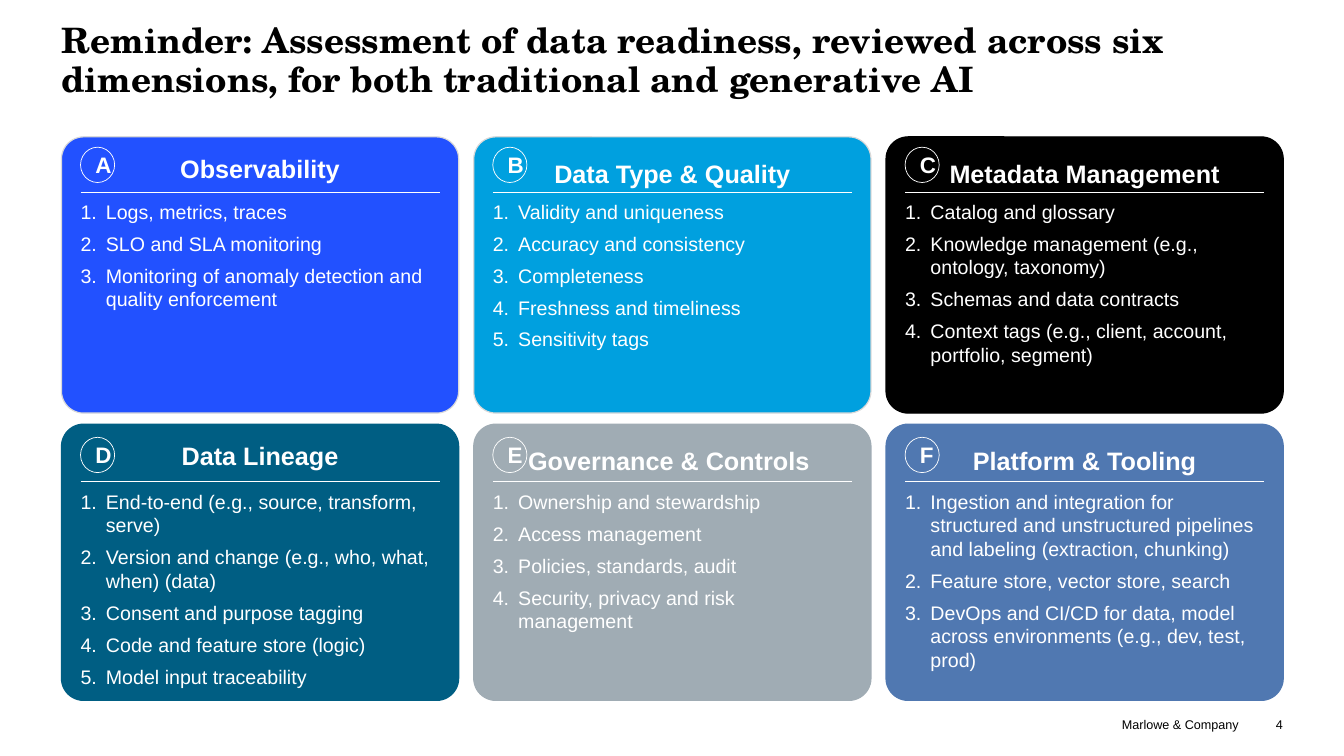
from lxml import etree
from pptx import Presentation
from pptx.dml.color import RGBColor
from pptx.enum.shapes import MSO_CONNECTOR, MSO_SHAPE
from pptx.enum.text import MSO_ANCHOR, MSO_AUTO_SIZE, PP_ALIGN
from pptx.oxml.ns import qn
from pptx.util import Cm, Pt

LINE = MSO_CONNECTOR.STRAIGHT
ROUND, OVAL = MSO_SHAPE.ROUNDED_RECTANGLE, MSO_SHAPE.OVAL
TOP, MIDDLE, BOTTOM = MSO_ANCHOR.TOP, MSO_ANCHOR.MIDDLE, MSO_ANCHOR.BOTTOM
LEFT, CENTER, RIGHT = PP_ALIGN.LEFT, PP_ALIGN.CENTER, PP_ALIGN.RIGHT
FIXED = MSO_AUTO_SIZE.NONE

WHITE, BLACK, GREY = "FFFFFF", "000000", "D9D9D9"
EDGE, STEP, WIDTH, HEIGHT, PAD = 1.55, 10.39, 10.01, 6.96, 0.48
INNER = WIDTH - 2 * PAD
ROWS = [
    {"card": 3.45, "badge": 3.71, "rule": 4.85, "list": 5.03},
    {"card": 10.69, "badge": 11.02, "rule": 12.14, "list": 12.34},
]
CARDS = [
    ("A", "Observability", "2251FF", GREY, None, [
        "Logs, metrics, traces",
        "SLO and SLA monitoring",
        "Monitoring of anomaly detection and quality enforcement"]),
    ("B", "Data Type & Quality", "00A0DF", GREY, 25, [
        "Validity and uniqueness",
        "Accuracy and consistency",
        "Completeness",
        "Freshness and timeliness",
        "Sensitivity tags"]),
    ("C", "Metadata Management", BLACK, BLACK, 25, [
        "Catalog and glossary",
        "Knowledge management (e.g., ontology, taxonomy)",
        "Schemas and data contracts",
        "Context tags (e.g., client, account, portfolio, segment)"]),
    ("D", "Data Lineage", "005E83", "005E83", None, [
        "End-to-end (e.g., source, transform, serve)",
        "Version and change (e.g., who, what, when) (data)",
        "Consent and purpose tagging",
        "Code and feature store (logic)",
        "Model input traceability"]),
    ("E", "Governance & Controls ", "A0ACB4", "A0ACB4", 25, [
        "Ownership and stewardship",
        "Access management",
        "Policies, standards, audit",
        "Security, privacy and risk management"]),
    ("F", "Platform & Tooling", "5078B1", "5078B1", 25, [
        "Ingestion and integration for structured and unstructured pipelines "
        "and labeling (extraction, chunking)",
        "Feature store, vector store, search",
        "DevOps and CI/CD for data, model across environments "
        "(e.g., dev, test, prod)"]),
]


def paint(item, color):
    """Set a hex colour on a fill, line or font."""
    if hasattr(item, "solid"):
        item.solid()
        item = item.fore_color
    elif hasattr(item, "color"):
        item = item.color
    item.rgb = RGBColor.from_string(color)


class Deck:
    """Hold the fonts and the current slide, and draw on it."""

    head, body = "TeX Gyre Schola", "Arial"

    def __init__(self, slide):
        """Keep the slide to draw on."""
        self.slide = slide

    def style(self, para, size, color, bold=False, align=LEFT, face=body):
        """Format the runs of a paragraph."""
        para.alignment = align
        for run in para.runs:
            run.font.size, run.font.bold, run.font.name = Pt(size), bold, face
            paint(run.font, color)

    def frame(self, shape, anchor=TOP, inset=(0, 0, 0, 0)):
        """Set up the text frame of a shape and return it."""
        text = shape.text_frame
        text.word_wrap, text.auto_size = True, FIXED
        text.vertical_anchor = anchor
        text.margin_left, text.margin_top, text.margin_right, text.margin_bottom = (
            Cm(side) for side in inset)
        return text

    def title(self, words, x, y, w, h):
        """Fill and place the title placeholder."""
        shape = self.slide.shapes.title
        shape.left, shape.top, shape.width, shape.height = Cm(x), Cm(y), Cm(w), Cm(h)
        text = self.frame(shape, BOTTOM)
        text.text = words
        text.paragraphs[0].line_spacing = 0.93
        self.style(text.paragraphs[0], 25, BLACK, True, face=self.head)

    def shape(self, kind, x, y, w, h, fill, line, weight):
        """Add a filled and outlined shape."""
        shape = self.slide.shapes.add_shape(kind, Cm(x), Cm(y), Cm(w), Cm(h))
        shape.shadow.inherit = False
        paint(shape.fill, fill)
        paint(shape.line, line)
        shape.line.width = Pt(weight)
        return shape

    def card(self, x, y, name, fill, line, lead):
        """Add a rounded card with its heading."""
        shape = self.shape(ROUND, x, y, WIDTH, HEIGHT, fill, line, 0.85)
        shape.adjustments[0] = 0.08
        text = self.frame(shape, TOP, (0.25, 0.25, 0.25, 0.13))
        text.text = name
        if lead:
            text.paragraphs[0].line_spacing = Pt(lead)
        self.style(text.paragraphs[0], 18, WHITE, True, CENTER)

    def badge(self, x, y, letter, fill):
        """Add a round letter badge."""
        shape = self.shape(OVAL, x, y, 0.86, 0.89, fill, WHITE, 0.5)
        text = self.frame(shape, MIDDLE, (0.25, 0.13, 0.25, 0.13))
        text.text = letter
        self.style(text.paragraphs[0], 16, WHITE, True, CENTER)

    def rule(self, x, y, w):
        """Add a thin white line."""
        line = self.slide.shapes.add_connector(LINE, Cm(x), Cm(y), Cm(x + w), Cm(y))
        paint(line.line, WHITE)
        line.line.width = Pt(1)
        etree.SubElement(line._element.spPr, qn("a:effectLst"))

    def label(self, words, x, y, w, h, align):
        """Add a small footer text."""
        box = self.slide.shapes.add_textbox(Cm(x), Cm(y), Cm(w), Cm(h))
        text = self.frame(box, BOTTOM)
        text.text = words
        self.style(text.paragraphs[0], 9, BLACK, align=align)

    def list(self, items, x, y, w, h):
        """Add a numbered list."""
        box = self.slide.shapes.add_textbox(Cm(x), Cm(y), Cm(w), Cm(h))
        text = self.frame(box)
        text.text = "\n".join(items)
        for spot, para in enumerate(text.paragraphs):
            props = para._p.get_or_add_pPr()
            props.set("marL", str(Cm(0.64)))
            props.set("indent", str(-Cm(0.64)))
            tint = etree.SubElement(props, qn("a:buClr"))
            etree.SubElement(tint, qn("a:srgbClr"), val=WHITE)
            etree.SubElement(props, qn("a:buAutoNum"), type="arabicPeriod")
            para.space_before, para.space_after = Pt(3 if spot else 0), Pt(3)
            self.style(para, 14, WHITE)


def main():
    """Build the slide and save it."""
    show = Presentation()
    show.slide_width, show.slide_height = Cm(33.87), Cm(19.05)
    deck = Deck(show.slides.add_slide(show.slide_layouts[5]))
    deck.title("Reminder: Assessment of data readiness, reviewed across six "
               "dimensions, for both traditional and generative AI",
               EDGE, 0.5, 30.79, 2.04)
    for spot, (letter, name, fill, line, lead, items) in enumerate(CARDS):
        row, col = divmod(spot, 3)
        tops, x = ROWS[row], EDGE + col * STEP
        deck.card(x, tops["card"], name, fill, line, lead)
        deck.badge(x + PAD, tops["badge"], letter, fill)
        deck.rule(x + PAD, tops["rule"], INNER)
        deck.list(items, x + PAD, tops["list"], INNER, 5.05)
    deck.label("Marlowe & Company", 28.17, 18.06, 3.15, 0.38, CENTER)
    deck.label("4", 31.42, 18.06, 0.91, 0.38, RIGHT)
    show.save("out.pptx")


if __name__ == "__main__":
    main()
